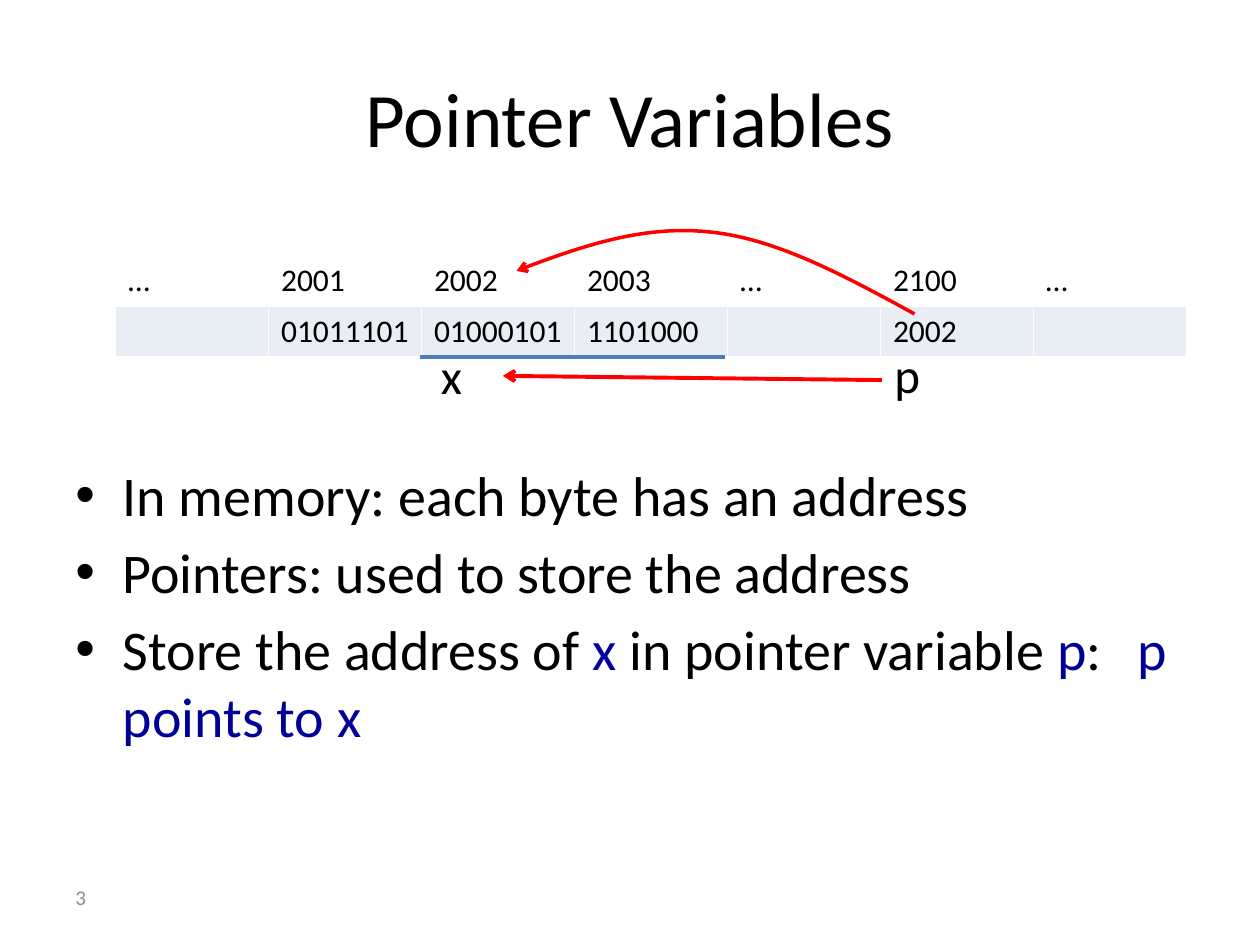
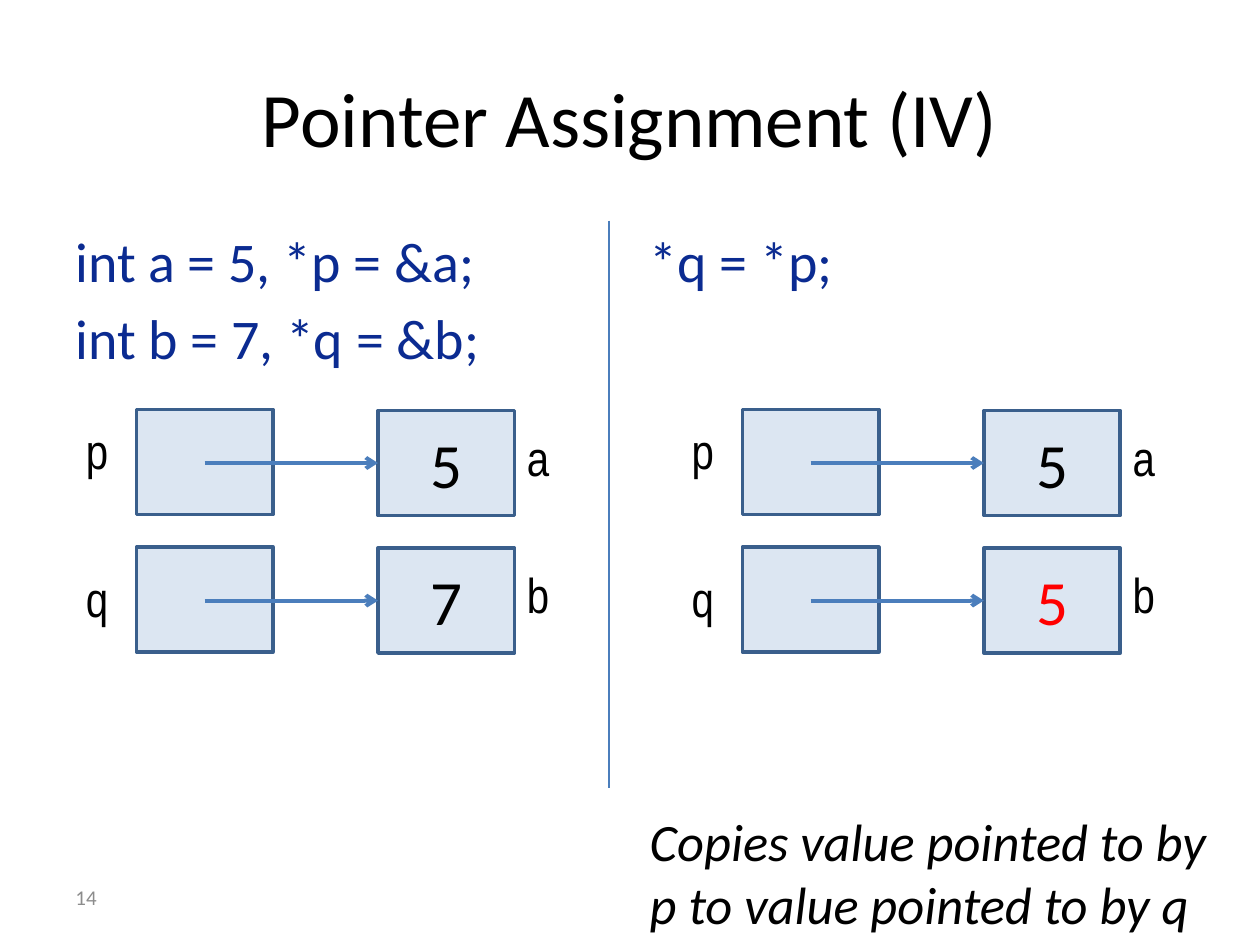
from dataclasses import dataclass

import pptx
import pptx.dml.color
import pptx.enum.shapes
import pptx.enum.text
import pptx.oxml
import pptx.oxml.ns
import pptx.util
from lxml import etree

Anchor = pptx.enum.text.MSO_ANCHOR
Align = pptx.enum.text.PP_ALIGN


@dataclass(frozen=True)
class Theme:
    font: str = "Calibri"
    label_font: str = "Arial Narrow"
    black: str = "000000"
    white: str = "FFFFFF"
    grey: str = "8C8C8C"
    red: str = "FF0000"
    keyword: str = "000099"
    code: str = "0B2B91"
    line: str = "4B7EBC"
    box_line: str = "3A5F8C"
    box_fill: str = "DCE6F2"
    byte_fill: str = "E9EDF4"
    title_size: float = 44
    value_size: float = 36
    body_size: float = 32
    remark_size: float = 30
    label_size: float = 28
    cell_size: float = 18
    number_size: float = 12
    body_gap: float = 5.5


THEME = Theme()
COLUMNS, ROWS = 120, 90
WIDTH, HEIGHT = pptx.util.Inches(10), pptx.util.Inches(7.5)


def col(n):
    return round(WIDTH * n / COLUMNS)


def row(n):
    return round(HEIGHT * n / ROWS)


def area(left, top, width, height):
    return col(left), row(top), col(width), row(height)


def rgb(value):
    return pptx.dml.color.RGBColor.from_string(value)


def sub(parent, tag, **attributes):
    return etree.SubElement(parent, pptx.oxml.ns.qn(tag), **attributes)


def style(p, size, color=THEME.black, font=THEME.font, italic=False):
    for r in p.runs:
        r.font.size = pptx.util.Pt(size)
        r.font.name = font
        r.font.bold = False
        r.font.italic = italic
        r.font.color.rgb = rgb(color)


def add_text(slide, box, lines, size, color=THEME.black, font=THEME.font,
             anchor=Anchor.TOP, align=Align.LEFT, gap=0, italic=False):
    tf = slide.shapes.add_textbox(*area(*box)).text_frame
    tf.word_wrap = True
    tf.vertical_anchor = anchor
    tf.text = lines
    for p in tf.paragraphs:
        p.alignment = align
        p.space_before = pptx.util.Pt(gap)
        style(p, size, color, font, italic)
    return tf


def add_bullets(slide, box, bullets):
    tf = add_text(slide, box, "\n".join("" for _ in bullets),
                  THEME.body_size, gap=THEME.body_gap)
    for p, parts in zip(tf.paragraphs, bullets):
        for text, color in parts:
            r = p.add_run()
            r.text = text
        style(p, THEME.body_size)
        for r, (text, color) in zip(p.runs, parts):
            r.font.color.rgb = rgb(color)
        pPr = p._p.get_or_add_pPr()
        pPr.set("marL", str(col(4.5)))
        pPr.set("indent", str(-col(4.5)))
        sub(pPr, "a:buFont", typeface="Arial")
        sub(pPr, "a:buChar", char="•")


def style_line(sp, color, weight, arrow):
    sp.line.color.rgb = rgb(color)
    sp.line.width = pptx.util.Pt(weight)
    if arrow:
        sub(sp.line._get_or_add_ln(), "a:tailEnd", type="arrow")


def add_line(slide, start, end, color=THEME.line, weight=2.25, arrow=False):
    sp = slide.shapes.add_connector(
        pptx.enum.shapes.MSO_CONNECTOR.STRAIGHT,
        col(start[0]), row(start[1]), col(end[0]), row(end[1]))
    style_line(sp, color, weight, arrow)
    sub(sp._element.spPr, "a:effectLst")


def bezier(points, steps=24):
    a, b, c, d = points
    for i in range(1, steps + 1):
        t = i / steps
        s = 1 - t
        yield tuple(s**3 * a[k] + 3 * s * s * t * b[k] + 3 * s * t * t * c[k]
                    + t**3 * d[k] for k in (0, 1))


def add_curved_arrow(slide, *curves):
    x, y = curves[0][0]
    builder = slide.shapes.build_freeform(col(x), row(y))
    points = [(col(x), row(y)) for curve in curves for x, y in bezier(curve)]
    builder.add_line_segments(points, close=False)
    sp = builder.convert_to_shape()
    sp.shadow.inherit = False
    sp.fill.background()
    style_line(sp, THEME.red, 2, arrow=True)


def add_box(slide, left, top, value="", color=THEME.black):
    sp = slide.shapes.add_shape(pptx.enum.shapes.MSO_SHAPE.RECTANGLE,
                                *area(left, top, 13, 10))
    sp.shadow.inherit = False
    sp.fill.solid()
    sp.fill.fore_color.rgb = rgb(THEME.box_fill)
    style_line(sp, THEME.box_line, 2, arrow=False)
    if value:
        tf = sp.text_frame
        tf.text = value
        tf.vertical_anchor = Anchor.MIDDLE
        tf.paragraphs[0].alignment = Align.CENTER
        style(tf.paragraphs[0], THEME.value_size, color)


def border_cell(cell):
    tcPr = cell._tc.get_or_add_tcPr()
    for i, side in enumerate(("a:lnL", "a:lnR", "a:lnT", "a:lnB")):
        ln = etree.Element(pptx.oxml.ns.qn(side), w=str(pptx.util.Pt(1)))
        sub(sub(ln, "a:solidFill"), "a:srgbClr", val=THEME.white)
        tcPr.insert(i, ln)


def add_memory_table(slide, box, addresses, contents):
    table = slide.shapes.add_table(2, len(addresses), *area(*box)).table
    table.first_row = False
    table.horz_banding = False
    fills = (THEME.white, THEME.byte_fill)
    for i, (texts, fill) in enumerate(zip((addresses, contents), fills)):
        for j, text in enumerate(texts):
            cell = table.cell(i, j)
            cell.text = text
            style(cell.text_frame.paragraphs[0], THEME.cell_size)
            cell.fill.solid()
            cell.fill.fore_color.rgb = rgb(fill)
            border_cell(cell)


def add_label(slide, left, top, text, font=THEME.label_font):
    add_text(slide, (left, top, 6.5, 6.8), text, THEME.label_size, font=font)


def add_pointer_diagram(slide, left, a, b, b_color=THEME.black):
    rows = ((39, "p", 39.5, "a", 40.1, a, THEME.black),
            (52.1, "q", 53.6, "b", 53.2, b, b_color))
    for top, pointer, pointer_top, name, name_top, value, color in rows:
        add_box(slide, left, top)
        add_box(slide, left + 23, top + 0.1, value, color)
        add_line(slide, (left + 6.5, top + 5.1), (left + 23, top + 5.1),
                 arrow=True)
        add_label(slide, left - 6, pointer_top, pointer)
        add_label(slide, left + 36, name_top, name)


def add_slide(prs, title, number):
    slide = prs.slides.add_slide(prs.slide_layouts[6])
    add_text(slide, (6, 3.6, 108, 15), title, THEME.title_size,
             anchor=Anchor.MIDDLE, align=Align.CENTER)
    add_text(slide, (6, 83, 28, 4.8), number, THEME.number_size, THEME.grey,
             anchor=Anchor.MIDDLE)
    return slide


def build_variables(prs):
    slide = add_slide(prs, "Pointer Variables", "3")
    black, blue = THEME.black, THEME.keyword
    add_bullets(slide, (6, 43.3, 108, 37), [
        [("In memory: each byte has an address", black)],
        [("Pointers: used to store the address", black)],
        [("Store the address of ", black), ("x", blue),
         (" in pointer variable ", black), ("p", blue), (": \t", black),
         ("p points to x", blue)],
    ])
    add_memory_table(
        slide, (11, 24.3, 102, 9.7),
        ["…", "2001", "2002", "2003", "…", "2100", "…"],
        ["", "01011101", "01000101", "1101000", "", "2002", ""])
    add_line(slide, (40, 34), (69, 34))
    add_label(slide, 40.8, 32.3, "x", THEME.font)
    add_label(slide, 84, 32.2, "p", THEME.font)
    peak = (67.6, 22.1)
    add_curved_arrow(slide,
                     ((87.1, 29.9), (80.5, 26.3), (73.9, 22.7), peak),
                     (peak, (61.2, 21.4), (55.2, 23.5), (49.2, 25.8)))
    add_line(slide, (84, 36.2), (47.9, 35.8), THEME.red, arrow=True)


def build_assignment(prs):
    slide = add_slide(prs, "Pointer Assignment (IV)", "14")
    add_text(slide, (6, 21, 49, 14), "int a = 5, *p = &a;\nint b = 7, *q = &b;",
             THEME.body_size, THEME.code, gap=THEME.body_gap)
    add_text(slide, (60.7, 21, 57, 7), "*q = *p;",
             THEME.body_size, THEME.code, gap=THEME.body_gap)
    add_text(slide, (60.7, 76.5, 57, 13), 
             "Copies value pointed to by p to value pointed to by q",
             THEME.remark_size, italic=True)
    add_pointer_diagram(slide, 13, "5", "7")
    add_pointer_diagram(slide, 70.7, "5", "5", THEME.red)
    add_line(slide, (58, 21), (58, 75), weight=0.75)


def main():
    prs = pptx.Presentation()
    prs.slide_width, prs.slide_height = WIDTH, HEIGHT
    build_variables(prs)
    build_assignment(prs)
    prs.save("out.pptx")


if __name__ == "__main__":
    main()
